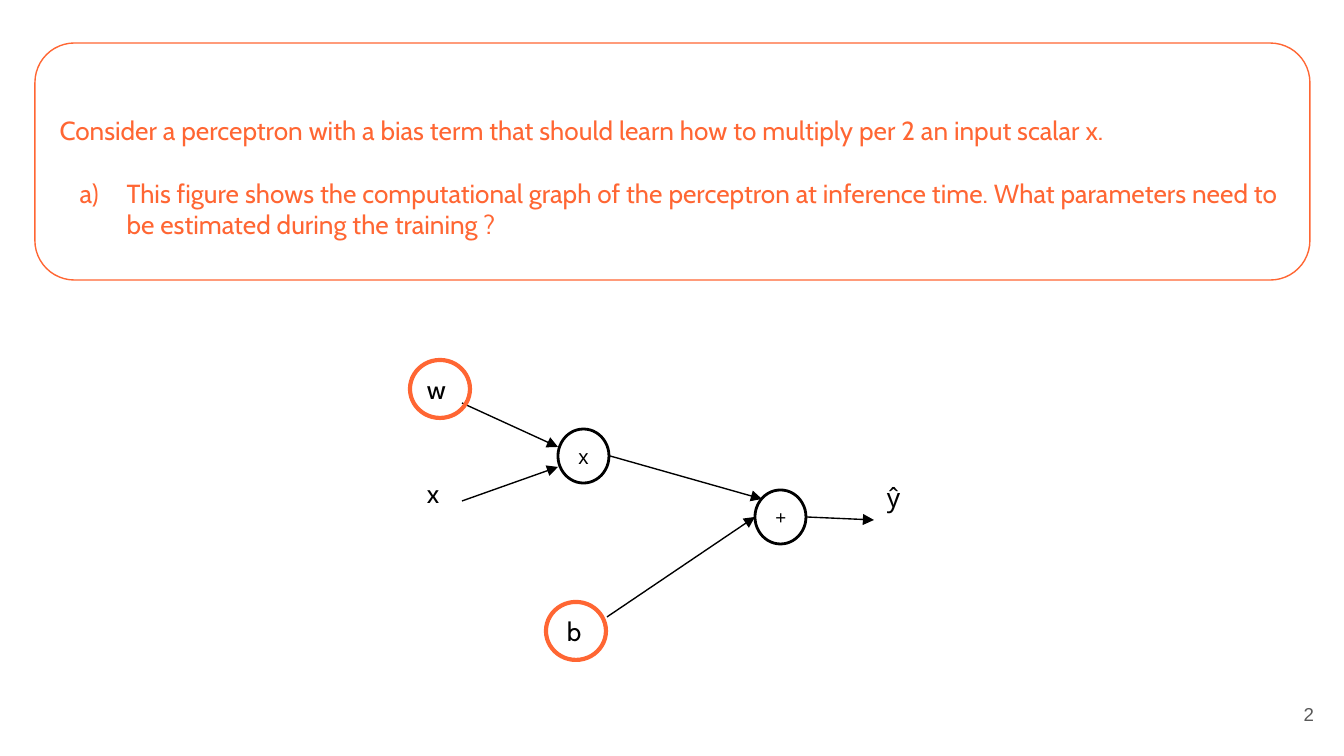
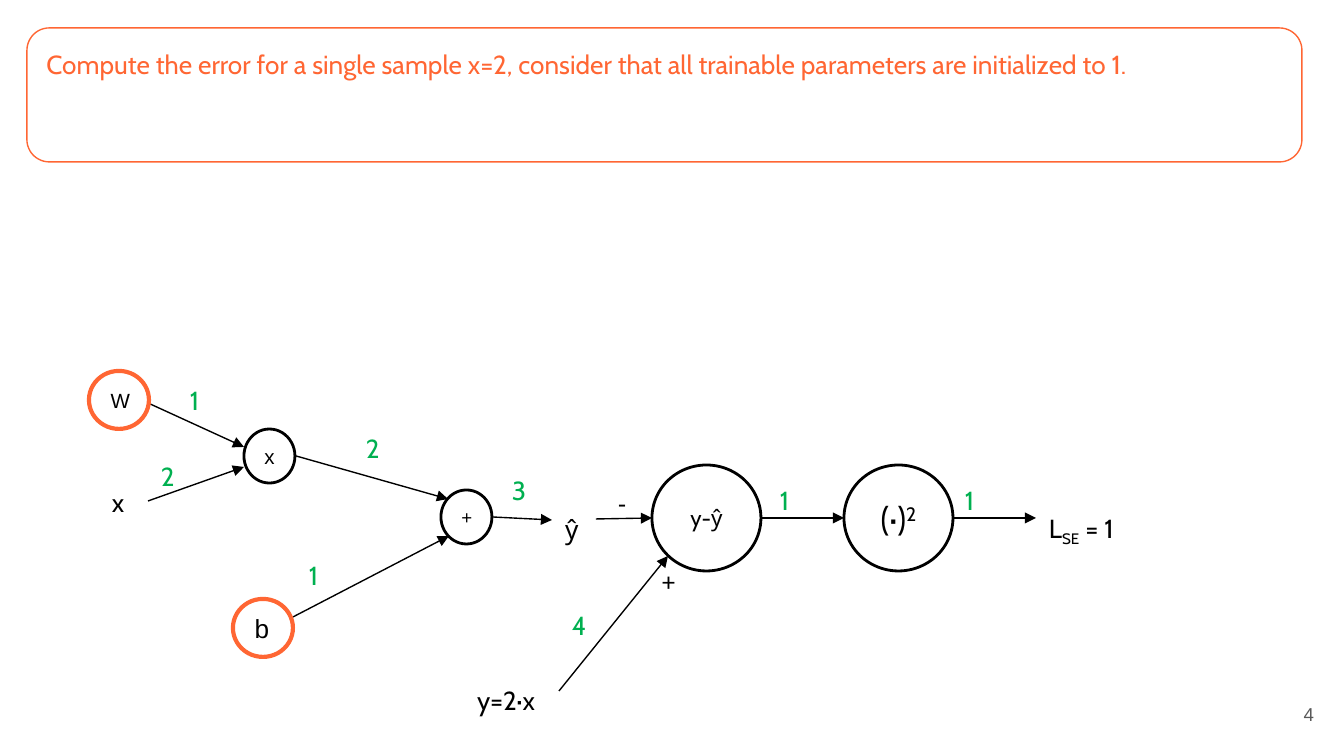
import pptx
import pptx.dml.color
import pptx.enum.shapes
import pptx.enum.text
import pptx.oxml.ns
import pptx.util
from lxml import etree

SCALE = 914400 / 134.4
ORANGE, BLACK, GREEN, GREY = "FF6633", "000000", "00B050", "595959"
INSET, LINE_HEIGHT = 13, 31
LABEL, VALUE = (60, 39), (51, 42)
RING, OPERATOR, STAGE = (60, 58), (51, 54), (109, 106)

SHAPE = pptx.enum.shapes.MSO_SHAPE
ALIGN = pptx.enum.text.PP_ALIGN
ANCHOR = pptx.enum.text.MSO_ANCHOR


def px(n):
    return pptx.util.Emu(round(n * SCALE))


def rgb(color):
    return pptx.dml.color.RGBColor.from_string(color)


def add_xml(parent, tag, **attrs):
    return etree.SubElement(parent, pptx.oxml.ns.qn(tag), **attrs)


def set_frame(tf, anchor, sides=INSET, top=INSET, bottom=INSET):
    tf.word_wrap = True
    tf.vertical_anchor = anchor
    tf.margin_left = tf.margin_right = px(sides)
    tf.margin_top, tf.margin_bottom = px(top), px(bottom)


def format_text(tf, size, font, color, align=ALIGN.LEFT):
    for p in tf.paragraphs:
        p.alignment = align
        for r in p.runs:
            r.font.size = pptx.util.Pt(size)
            r.font.name = font
            r.font.color.rgb = rgb(color)


def add_script_run(p, text, baseline):
    r = p.add_run()
    r.text = text
    r._r.get_or_add_rPr().set("baseline", str(baseline * 1000))


def add_outline(s, kind, box, color, width):
    sp = s.shapes.add_shape(kind, *map(px, box))
    sp.shadow.inherit = False
    sp.fill.background()
    sp.line.color.rgb = rgb(color)
    sp.line.width = pptx.util.Pt(width)
    return sp


def add_label(s, text, left, top, size=LABEL, color=BLACK, font="Cabin"):
    tf = s.shapes.add_textbox(*map(px, (left, top, *size))).text_frame
    set_frame(tf, ANCHOR.TOP)
    tf.text = text
    format_text(tf, 14, font, color)
    return tf


def add_ring(s, left, top, text="", size=14):
    tf = add_outline(s, SHAPE.OVAL, (left, top, *RING), ORANGE, 2.25).text_frame
    set_frame(tf, ANCHOR.MIDDLE)
    tf.text = text
    format_text(tf, size, "Arial", BLACK)


def add_node(s, left, top, box_size, text, size, font="Arial", power=""):
    tf = add_outline(s, SHAPE.OVAL, (left, top, *box_size), BLACK, 1.5).text_frame
    set_frame(tf, ANCHOR.MIDDLE, top=7, bottom=7)
    tf.text = text
    if power:
        add_script_run(tf.paragraphs[0], power, 30)
    format_text(tf, size, font, BLACK, ALIGN.CENTER)


def add_arrow(s, *ends):
    line = s.shapes.add_connector(
        pptx.enum.shapes.MSO_CONNECTOR.STRAIGHT, *map(px, ends))
    line.line.color.rgb = rgb(BLACK)
    line.line.width = pptx.util.Pt(0.75)
    add_xml(line.line._get_or_add_ln(), "a:tailEnd", type="triangle")
    add_xml(line._element.spPr, "a:effectLst")


def add_question(s, box, text, lines_above=0, lines_below=0):
    sp = add_outline(s, SHAPE.ROUNDED_RECTANGLE, box, ORANGE, 0.75)
    sp.adjustments[0] = 0.167
    tf = sp.text_frame
    set_frame(tf, ANCHOR.MIDDLE, top=INSET + lines_above * LINE_HEIGHT,
              bottom=INSET + lines_below * LINE_HEIGHT)
    tf.text = text
    format_text(tf, 14, "Cabin", ORANGE)
    return tf


def letter_paragraph(p):
    p.space_before = pptx.util.Pt(17)
    pPr = p._p.get_or_add_pPr()
    pPr.set("marL", str(px(67)))
    pPr.set("indent", str(px(-47)))
    add_xml(add_xml(pPr, "a:buClr"), "a:srgbClr", val=ORANGE)
    add_xml(pPr, "a:buFont", typeface="Cabin")
    add_xml(pPr, "a:buAutoNum", type="alphaLcParenR")


def add_page_number(s, number):
    tf = s.shapes.add_textbox(*map(px, (1246, 685, 81, 58))).text_frame
    set_frame(tf, ANCHOR.MIDDLE)
    tf.text = str(number)
    format_text(tf, 10, "Arial", GREY, ALIGN.RIGHT)


def add_perceptron(s, left, top, bias_tip, output_tip):
    add_node(s, left + 96, top + 26, OPERATOR, "x", 11)
    add_node(s, left + 293, top + 87, OPERATOR, "+", 10)
    arrows = [
        (0, 0, 96, 44),
        (0, 98, 96, 64),
        (148, 53, 300, 96),
        (145, 214, *bias_tip),
        (344, 114, *output_tip),
    ]
    for x1, y1, x2, y2 in arrows:
        add_arrow(s, left + x1, top + y1, left + x2, top + y2)


def add_loss(s, left, top):
    middle = top + 53
    add_node(s, left, top, STAGE, "y-ŷ", 12, "Cabin")
    add_node(s, left + 192, top, STAGE, "(·)", 18, "Cabin", power="2")
    add_arrow(s, left - 56, middle + 1, left, middle)
    add_arrow(s, left + 109, middle, left + 192, middle)
    add_arrow(s, left + 300, middle, left + 384, middle)
    add_arrow(s, left - 93, top + 226, left + 16, top + 91)
    add_label(s, "y=2·x", left - 188, top + 206, (95, 39))
    for sign, x, y in [("-", -47, 9), ("+", -3, 87)]:
        add_label(s, sign, left + x, top + y, (35, 59), font="Calibri")
    p = add_label(s, "L", left + 384, top + 34, (276, 39)).paragraphs[0]
    add_script_run(p, "SE", -25)
    add_script_run(p, " = 1", 0)
    for r in p.runs:
        r.font.size = pptx.util.Pt(14)
        r.font.name = "Cabin"
        r.font.color.rgb = rgb(BLACK)


def build_inference_slide(s):
    add_page_number(s, 2)
    add_perceptron(s, 462, 403, (293, 114), (412, 117))
    labels = [("w", 414, 360), ("x", 414, 464), ("b", 554, 602), ("ŷ", 874, 468)]
    for text, left, top in labels:
        add_label(s, text, left, top)
    add_ring(s, 410, 360)
    add_ring(s, 546, 602)
    tf = add_question(
        s, (35, 43, 1275, 237),
        "Consider a perceptron with a bias term that should learn how to "
        "multiply per 2 an input scalar x.\n"
        "This figure shows the computational graph of the perceptron at "
        "inference time. What parameters need to be estimated during the "
        "training ?", lines_above=1)
    letter_paragraph(tf.paragraphs[1])


def build_error_slide(s):
    add_page_number(s, 4)
    add_perceptron(s, 148, 403, (301, 133), (404, 117))
    add_ring(s, 89, 371, "W", 11)
    add_ring(s, 233, 599, "b")
    add_label(s, "x", 99, 473)
    add_label(s, "ŷ", 552, 500, (43, 39))
    add_loss(s, 652, 465)
    values = [
        ("1", 177, 371), ("2", 148, 447), ("2", 353, 419), ("1", 296, 546),
        ("3", 499, 461), ("4", 559, 596), ("1", 767, 471), ("1", 952, 471),
    ]
    for text, left, top in values:
        add_label(s, text, left, top, VALUE, GREEN)
    add_question(
        s, (27, 28, 1275, 134),
        "Compute the error for a single sample x=2, consider that all "
        "trainable parameters are initialized to 1.", lines_below=2)


def main():
    prs = pptx.Presentation()
    prs.slide_width, prs.slide_height = px(1344), px(756)
    for build in (build_inference_slide, build_error_slide):
        build(prs.slides.add_slide(prs.slide_layouts[6]))
    prs.save("out.pptx")


if __name__ == "__main__":
    main()
